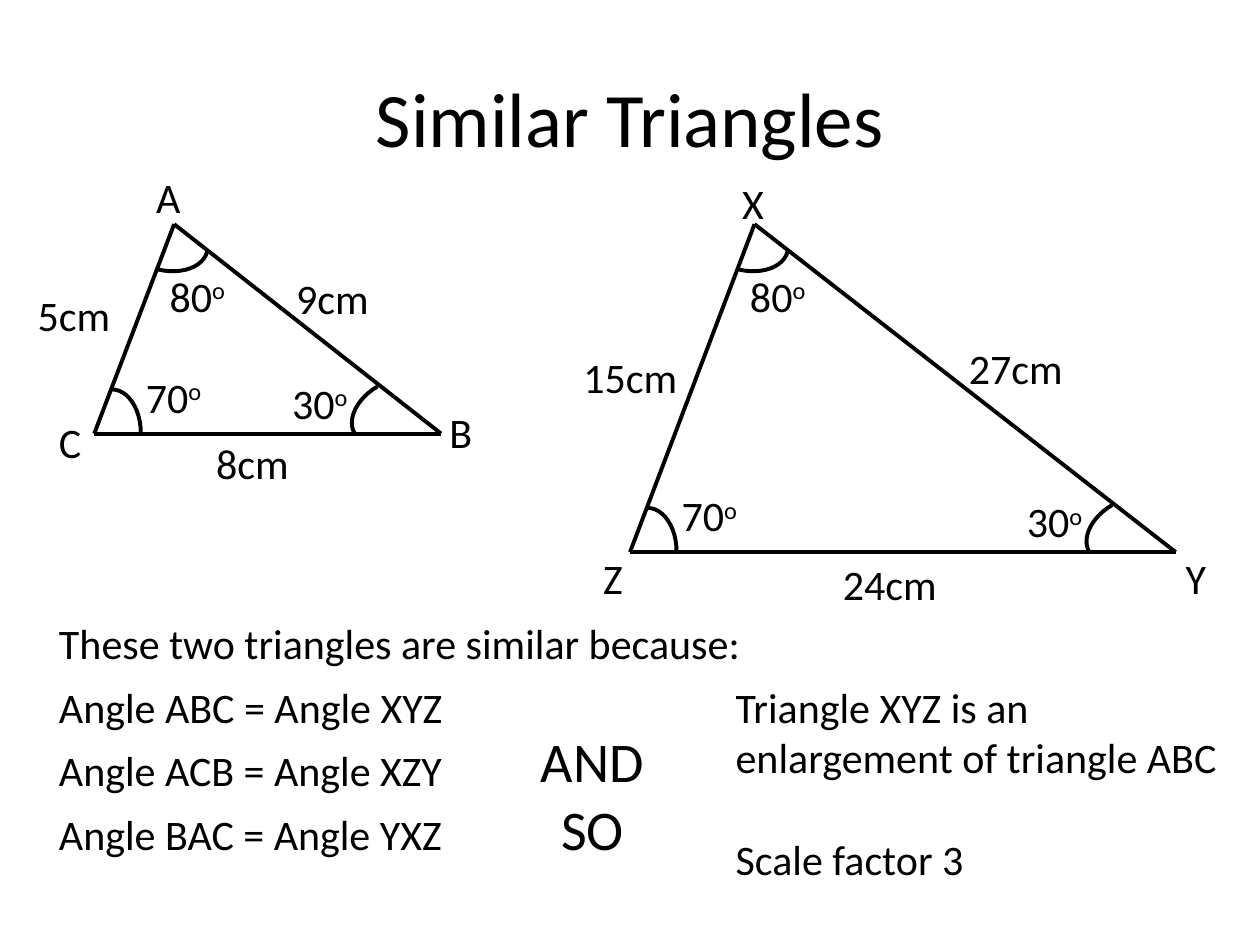
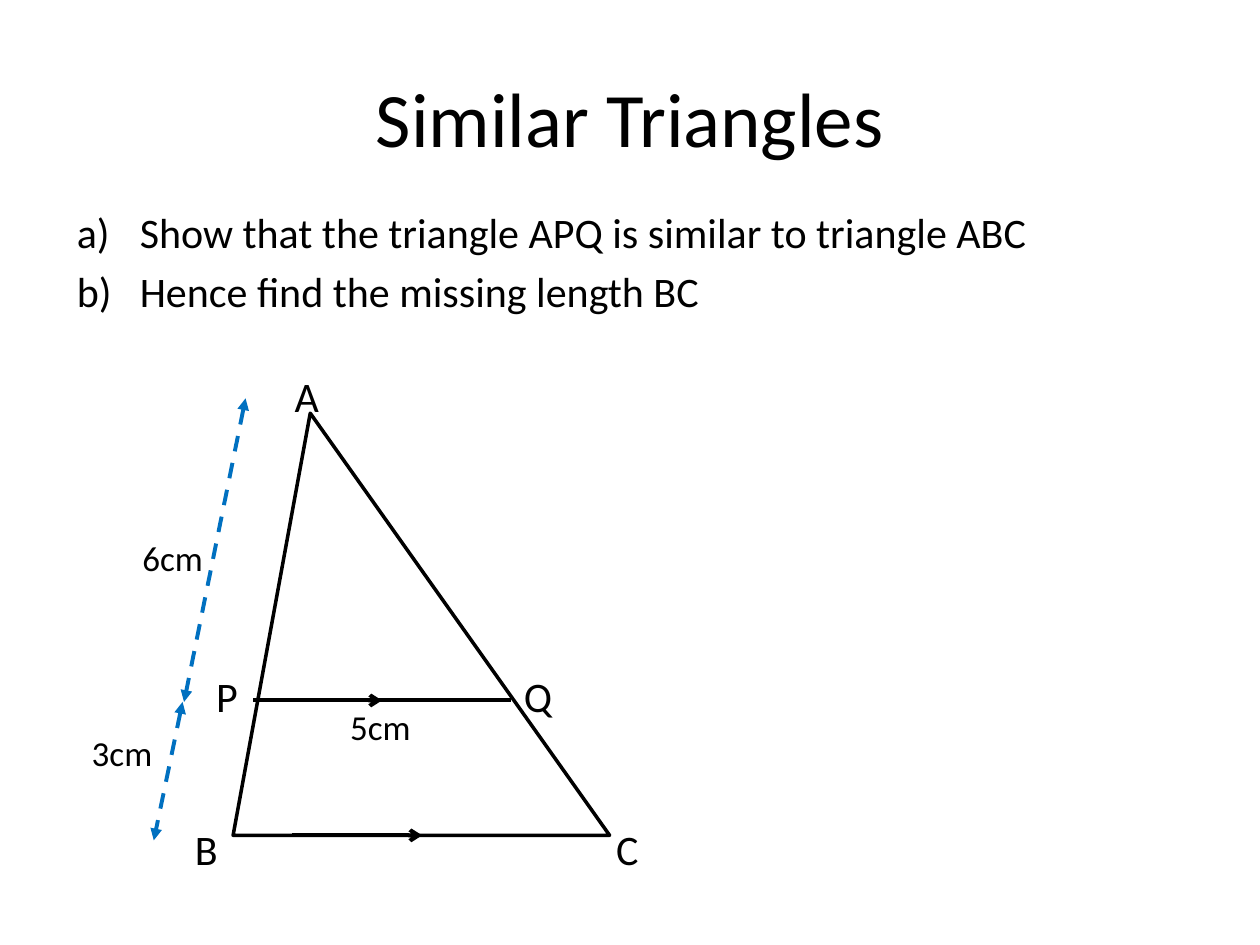
from lxml import etree
from pptx import Presentation
from pptx.dml.color import RGBColor
from pptx.enum.dml import MSO_LINE
from pptx.enum.shapes import MSO_CONNECTOR, MSO_SHAPE
from pptx.enum.text import MSO_ANCHOR, PP_ALIGN
from pptx.oxml.ns import qn
from pptx.util import Cm, Pt

LEFT, CENTER = PP_ALIGN.LEFT, PP_ALIGN.CENTER
TOP, MIDDLE = MSO_ANCHOR.TOP, MSO_ANCHOR.MIDDLE
ARC, TRIANGLE = MSO_SHAPE.ARC, MSO_SHAPE.ISOSCELES_TRIANGLE
STRAIGHT, DASH = MSO_CONNECTOR.STRAIGHT, MSO_LINE.DASH
BLACK, WHITE, BLUE = "000000", "FFFFFF", "0070C0"
FONT = "Calibri"
LINE = 2.25

TITLE = "Similar Triangles"

# Corners run top, right, left: name, point, place of the name.
FIGURES = [
    {"corners": [("A", (3.51, 4.52), (2.9, 3.33)),
                 ("B", (8.89, 8.74), (8.81, 8.08)),
                 ("C", (1.9, 8.74), (0.94, 8.28))],
     "sides": [("5cm", 0.51, 5.72), ("9cm", 5.72, 5.36), ("8cm", 4.11, 8.69)]},
    {"corners": [("X", (15.21, 4.52), (14.71, 3.45)),
                 ("Y", (23.7, 11.13), (23.65, 11.02)),
                 ("Z", (12.7, 11.13), (11.91, 11.02))],
     "sides": [("15cm", 11.51, 6.96), ("24cm", 16.74, 11.13),
               ("27cm", 19.28, 6.78)]},
]
# Same corner order: angle, its shift from the corner, arc shift, arc turn.
ANGLES = [
    ("80^o", (-0.34, 0.81), (-0.77, -0.53), 103.4),
    ("30^o", (-3.25, -1.26), (-1.57, -1.32), 239.9),
    ("70^o", (0.79, -1.38), (-0.23, -0.89), 0),
]
ARC_SIZE = (1.17, 1.75)

REASONS = ["These two triangles are similar because:",
           "Angle ABC = Angle XYZ",
           "Angle ACB = Angle XZY",
           "Angle BAC = Angle YXZ"]
LINK = ["AND", "SO"]
RESULT = ["Triangle XYZ is an enlargement of triangle ABC", "Scale factor 3"]

TASKS = ["Show that the triangle APQ is similar to triangle ABC",
         "Hence find the missing length BC"]
POINTS = [("A", 5.69, 7.34), ("B", 3.68, 16.48), ("C", 12.17, 16.48),
          ("P", 4.11, 13.39), ("Q", 10.31, 13.39)]
LENGTHS = [("3cm", 1.6, 14.63), ("6cm", 2.62, 10.69), ("5cm", 6.81, 14.1)]
BASES = [((5.11, 14.12), (7.7, 14.12), "arrow"),
         ((5.89, 16.84), (8.51, 16.84), "arrow"),
         ((7.19, 14.12), (10.31, 14.12), None)]
SPANS = [((3.68, 14.15), (3.1, 16.94)), ((4.95, 8.03), (3.71, 14.15))]


def rgb(code):
    return RGBColor.from_string(code)


def write(slide, lines, x, y, wide, high=1.27, size=24, align=LEFT,
          anchor=TOP, gap=0, letters=False):
    """Write lines of text; what follows ^ is raised."""
    frame = slide.shapes.add_textbox(Cm(x), Cm(y), Cm(wide), Cm(high)).text_frame
    frame.word_wrap = True
    frame.vertical_anchor = anchor
    for i, text in enumerate([lines] if isinstance(lines, str) else lines):
        para = frame.add_paragraph() if i else frame.paragraphs[0]
        para.alignment = align
        if letters:
            props = para._p.get_or_add_pPr()
            props.set("marL", str(Cm(1.27)))
            props.set("indent", str(-Cm(1.27)))
            etree.SubElement(props, qn("a:buAutoNum"), type="alphaLcParenR")
        if i and gap:
            para.space_before = Pt(gap)
        for j, part in enumerate(text.split("^")):
            run = para.add_run()
            run.text = part
            run.font.name, run.font.size = FONT, Pt(size)
            run.font.color.rgb = rgb(BLACK)
            if j:
                run._r.get_or_add_rPr().set("baseline", "30000")


def draw(slide, start, end, color=BLACK, dash=None, head=None, tail=None):
    """Draw a straight line, with an arrowhead at either end."""
    link = slide.shapes.add_connector(
        STRAIGHT, *(Cm(v) for v in (*start, *end)))
    link.line.color.rgb = rgb(color)
    link.line.width = Pt(LINE)
    if dash:
        link.line.dash_style = dash
    props = link._element.spPr
    for tag, kind in (("a:headEnd", head), ("a:tailEnd", tail)):
        if kind:
            etree.SubElement(props.find(qn("a:ln")), qn(tag), type=kind)
    etree.SubElement(props, qn("a:effectLst"))


def shape(slide, kind, x, y, wide, high, fill=None, width=LINE):
    item = slide.shapes.add_shape(kind, Cm(x), Cm(y), Cm(wide), Cm(high))
    item.shadow.inherit = False
    if fill:
        item.fill.solid()
        item.fill.fore_color.rgb = rgb(fill)
    else:
        item.fill.background()
    item.line.color.rgb = rgb(BLACK)
    item.line.width = Pt(width)
    return item


def start(deck):
    """Add a blank slide with the shared title."""
    slide = deck.slides.add_slide(deck.slide_layouts[6])
    write(slide, TITLE, 1.27, 0.76, 22.86, 3.18, size=44, align=CENTER,
          anchor=MIDDLE)
    return slide


def figure(slide, corners, sides):
    """Draw a triangle with its names, angles and side lengths."""
    for i, (name, (x, y), place) in enumerate(corners):
        draw(slide, (x, y), corners[(i + 1) % 3][1])
        write(slide, name, *place, 1.6)
        angle, (dx, dy), (ax, ay), turn = ANGLES[i]
        shape(slide, ARC, x + ax, y + ay, *ARC_SIZE).rotation = turn
        write(slide, angle, x + dx, y + dy, 2.21)
    for text, x, y in sides:
        write(slide, text, x, y, 2.57)


def compare(deck):
    slide = start(deck)
    for item in FIGURES:
        figure(slide, **item)
    for i, text in enumerate(REASONS):
        write(slide, text, 0.94, 12.32 + 1.285 * i, 8.97 if i else 22.78)
    write(slide, LINK, 10.41, 14.53, 3.07, 3, size=32, align=CENTER)
    write(slide, RESULT, 14.58, 13.61, 10.31, 4.37, gap=29.3)


def solve(deck):
    slide = start(deck)
    write(slide, TASKS, 1.3, 4.04, 23.44, 13.28, gap=4.8, letters=True)
    outer = shape(slide, TRIANGLE, 4.7, 8.33, 7.59, 8.51, fill=WHITE, width=2)
    outer.adjustments[0] = 0.205
    for begin, end, tail in BASES:
        draw(slide, begin, end, tail=tail)
    for name, x, y in POINTS:
        write(slide, name, x, y, 1.09)
    for begin, end in SPANS:
        draw(slide, begin, end, color=BLUE, dash=DASH, head="triangle",
             tail="triangle")
    for text, x, y in LENGTHS:
        write(slide, text, x, y, 2.46, 1.12, size=20)


def main():
    deck = Presentation()
    deck.slide_width, deck.slide_height = Cm(25.4), Cm(19.05)
    compare(deck)
    solve(deck)
    deck.save("out.pptx")


if __name__ == "__main__":
    main()
